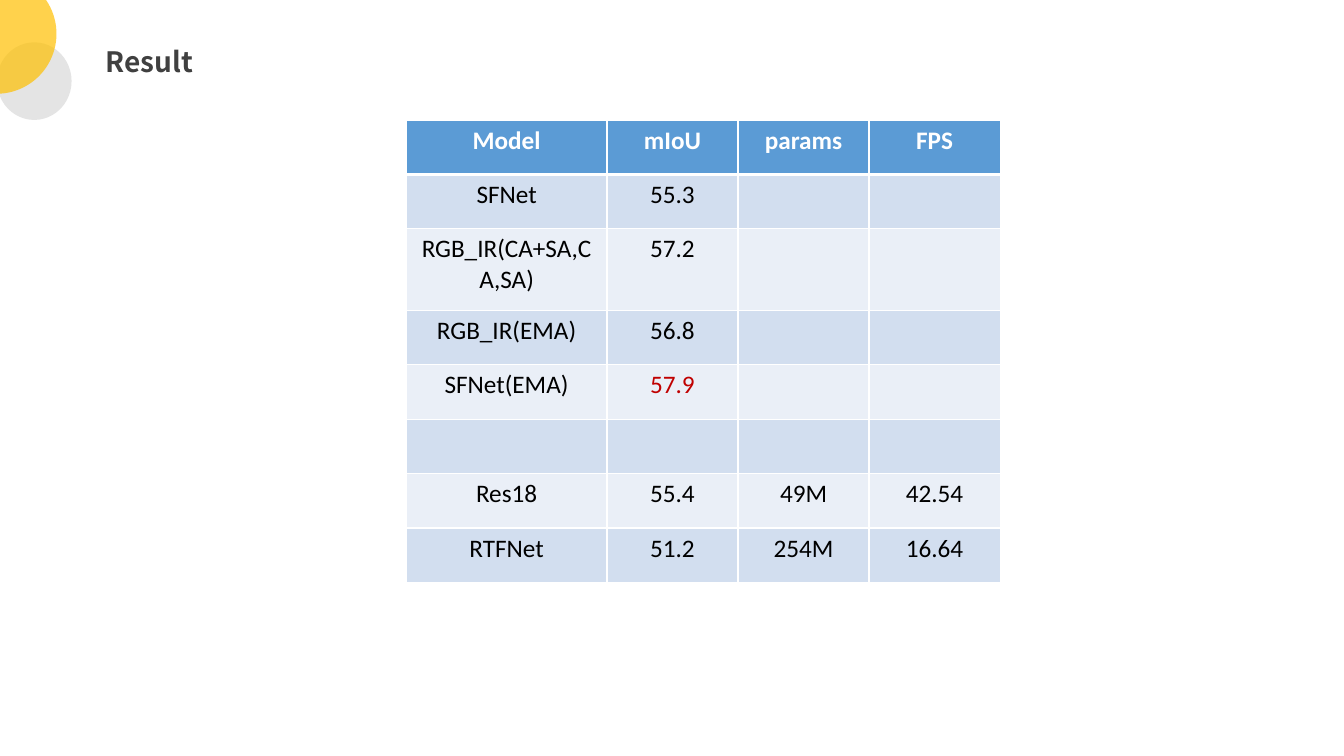
from lxml import etree
from pptx import Presentation
from pptx import util as u
from pptx.dml.color import RGBColor
from pptx.enum import shapes, text
from pptx.oxml import ns

WHITE = RGBColor(0xFF, 0xFF, 0xFF)
BLACK = RGBColor(0x00, 0x00, 0x00)
CHARCOAL = RGBColor(0x40, 0x40, 0x40)
GREY = RGBColor(0xD9, 0xD9, 0xD9)
AMBER = RGBColor(0xFF, 0xC0, 0x00)
HEADER_BLUE = RGBColor(0x5B, 0x9B, 0xD5)
BANDS = RGBColor(0xEA, 0xEF, 0xF7), RGBColor(0xD2, 0xDE, 0xEF)
BEST_RED = RGBColor(0xC0, 0x00, 0x00)

RESULTS = [
    ("Model", "mIoU", "params", "FPS"),
    ("SFNet", "55.3", "", ""),
    ("RGB_IR(CA+SA,CA,SA)", "57.2", "", ""),
    ("RGB_IR(EMA)", "56.8", "", ""),
    ("SFNet(EMA)", "57.9", "", ""),
    ("", "", "", ""),
    ("Res18", "55.4", "49M", "42.54"),
    ("RTFNet", "51.2", "254M", "16.64"),
]
BEST_SCORE = "57.9"
COLUMN_WIDTHS = [1.99, 1.3, 1.3, 1.3]
ROW_HEIGHTS = [0.54, 0.54, 0.81] + [0.54] * 5


def add_border(cell, side, points):
    """Draw a white line on one side (L, R, T or B) of a cell."""
    line = etree.SubElement(cell._tc.get_or_add_tcPr(), ns.qn(f"a:ln{side}"), w=str(u.Pt(points)))
    fill = etree.SubElement(line, ns.qn("a:solidFill"))
    etree.SubElement(fill, ns.qn("a:srgbClr"), val=str(WHITE))


prs = Presentation()
prs.slide_width, prs.slide_height = u.Inches(13.33), u.Inches(7.5)
slide = prs.slides.add_slide(prs.slide_layouts[6])

# Overlapping translucent circles in the corner
for left, top, width, height, colour in [
    (-0.03, 0.42, 0.74, 0.77, GREY),
    (-0.63, -0.26, 1.19, 1.19, AMBER),
]:
    circle = slide.shapes.add_shape(
        shapes.MSO_SHAPE.OVAL, u.Inches(left), u.Inches(top), u.Inches(width), u.Inches(height))
    circle.shadow.inherit = False
    circle.line.fill.background()
    circle.fill.solid()
    circle.fill.fore_color.rgb = colour
    tint = circle.fill._xPr.find(".//" + ns.qn("a:srgbClr"))
    etree.SubElement(tint, ns.qn("a:alpha"), val="70000")

# Heading
heading = slide.shapes.add_textbox(u.Inches(0.95), u.Inches(0.39), u.Inches(1.07), u.Inches(0.44))
heading.text_frame.word_wrap = False
heading.text_frame.auto_size = text.MSO_AUTO_SIZE.SHAPE_TO_FIT_TEXT
heading.text_frame.text = "Result"
heading_font = heading.text_frame.paragraphs[0].runs[0].font
heading_font.name, heading_font.size, heading_font.bold = "Noto Sans CJK SC", u.Pt(20), True
heading_font.color.rgb = CHARCOAL

# Results table
results = slide.shapes.add_table(
    len(RESULTS), len(COLUMN_WIDTHS), u.Inches(4.03), u.Inches(1.19),
    u.Inches(sum(COLUMN_WIDTHS)), u.Inches(sum(ROW_HEIGHTS))).table
for column, width in zip(results.columns, COLUMN_WIDTHS):
    column.width = u.Inches(width)
for row, height in zip(results.rows, ROW_HEIGHTS):
    row.height = u.Inches(height)

for r, values in enumerate(RESULTS):
    is_header = r == 0
    for c, value in enumerate(values):
        cell = results.cell(r, c)
        for side in "LRTB":
            at_header_edge = (r, side) in [(0, "B"), (1, "T")]
            add_border(cell, side, 3 if at_header_edge else 1)
        cell.fill.solid()
        cell.fill.fore_color.rgb = HEADER_BLUE if is_header else BANDS[r % 2]
        cell.text_frame.text = value
        paragraph = cell.text_frame.paragraphs[0]
        paragraph.alignment = text.PP_ALIGN.CENTER
        font = paragraph.font
        if paragraph.runs:
            font = paragraph.runs[0].font
        font.name, font.size, font.bold = "Calibri", u.Pt(18), is_header
        if is_header:
            font.color.rgb = WHITE
        else:
            font.color.rgb = BEST_RED if value == BEST_SCORE else BLACK

prs.save("out.pptx")
